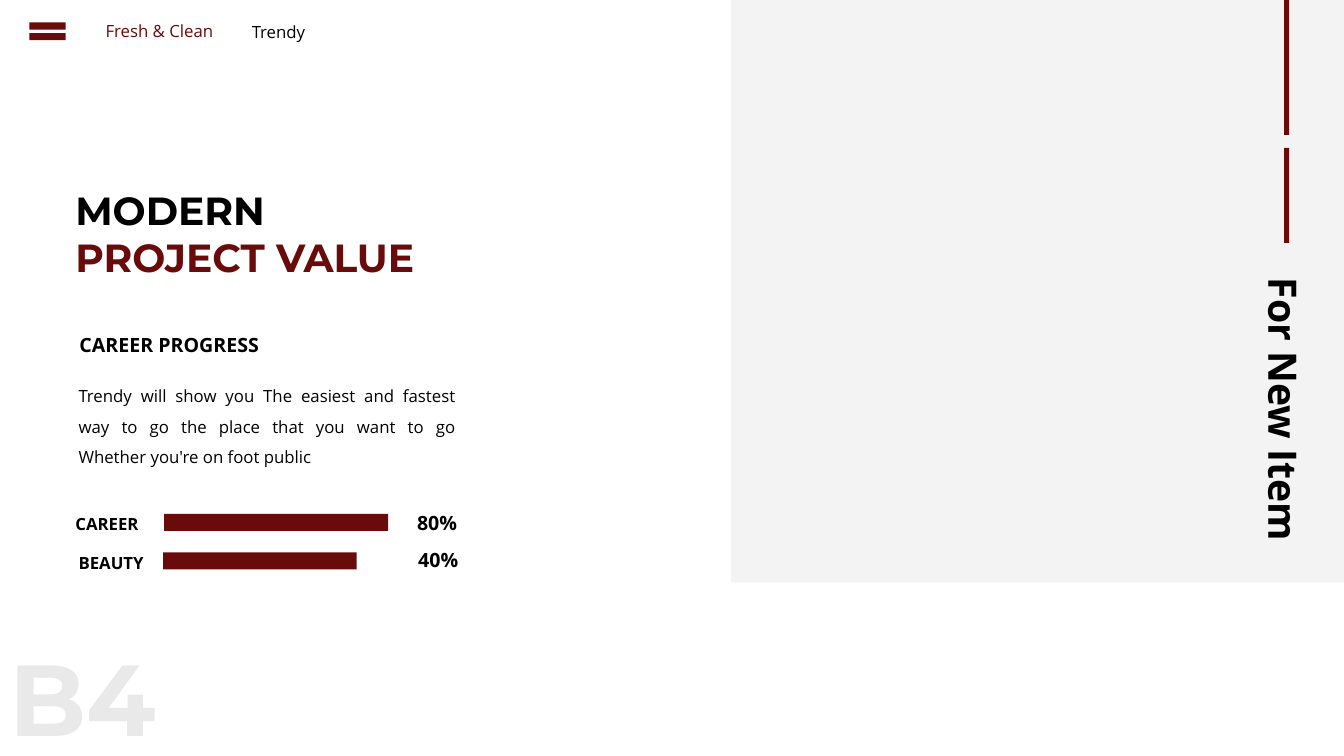
from lxml.etree import SubElement
from pptx import Presentation
from pptx.dml.color import RGBColor
from pptx.enum.shapes import MSO_SHAPE as Shape
from pptx.enum.text import PP_ALIGN as Align
from pptx.oxml.ns import qn
from pptx.util import Cm, Pt

COLORS = {"wine": "690B0B", "black": "000000", "panel": "F2F2F2", "ghost": "E9E9E9"}

deck = Presentation()
deck.slide_width, deck.slide_height = Cm(33.87), Cm(19.05)
page = deck.slides.add_slide(deck.slide_layouts[6])


def add_block(left, top, width, height, color="wine", kind=Shape.RECTANGLE):
    block = page.shapes.add_shape(kind, Cm(left), Cm(top), Cm(width), Cm(height))
    block.shadow.inherit = False
    block.fill.solid()
    block.fill.fore_color.rgb = RGBColor.from_string(COLORS[color])
    block.line.fill.background()
    return block


def add_text(text, left, top, width, height, size=12, color="black", bold=False,
             font="Open Sans", align=Align.LEFT, spacing=1.0, wrap=True):
    box = page.shapes.add_textbox(Cm(left), Cm(top), Cm(width), Cm(height))
    box.text_frame.word_wrap = wrap
    para = box.text_frame.paragraphs[0]
    para.alignment = align
    para.line_spacing = spacing
    parts = [(text, color)] if isinstance(text, str) else text
    for words, shade in parts:
        span = para.add_run()
        span.text = words
        span.font.name = font
        span.font.size = Pt(size)
        span.font.bold = bold
        span.font.color.rgb = RGBColor.from_string(COLORS[shade])
    return box


panel = add_block(18.42, 0, 15.45, 14.68, color="panel")
panel_color = panel.fill._xPr.find(qn("a:solidFill"))[0]
SubElement(panel_color, qn("a:alpha")).set("val", "90000")

side_title = add_text("For New Item", 28.3, 10.08, 8.1, 1.45, size=28, bold=True)
side_title.rotation = 90
for top, height in [(0, 3.4), (3.73, 2.39)]:
    add_block(32.36, top, 0.13, height)

add_block(0.58, 0.41, 1.24, 0.76, kind=Shape.MATH_EQUAL)
add_text("Fresh & Clean", 2.41, 0.41, 3.28, 0.76, color="wine", wrap=False)
add_text("Trendy", 6.07, 0.43, 1.9, 0.76, align=Align.CENTER, wrap=False)

add_text([("MODERN ", "black"), ("PROJECT VALUE", "wine")], 1.65, 4.57, 9.47, 2.64,
         size=28, bold=True, font="Montserrat")
add_text("CAREER PROGRESS", 1.75, 7.98, 6.55, 1.07, size=14, bold=True, spacing=1.5)
add_text("Trendy will show you The easiest and fastest way to go the place that you "
         "want to go Whether you're on foot public",
         1.73, 9.35, 10.01, 3.25, align=Align.JUSTIFY, spacing=1.5)

progress = [
    ("CAREER", 1.65, 12.57, 4.14, 12.95, 5.64, "80%", 10.26, 12.45),
    ("BEAUTY", 1.73, 13.54, 4.11, 13.92, 4.88, "40%", 10.29, 13.39),
]
for (label, label_left, label_top, bar_left, bar_top, bar_width,
     value, value_left, value_top) in progress:
    add_block(bar_left, bar_top, bar_width, 0.43)
    add_text(label, label_left, label_top, 2.49, 0.94, bold=True, spacing=1.5)
    add_text(value, value_left, value_top, 1.78, 1.07, size=14, bold=True, spacing=1.5)

add_text("B4", 0, 15.9, 4.2, 3.1, size=72, color="ghost", bold=True, font="Montserrat")

deck.save("out.pptx")
